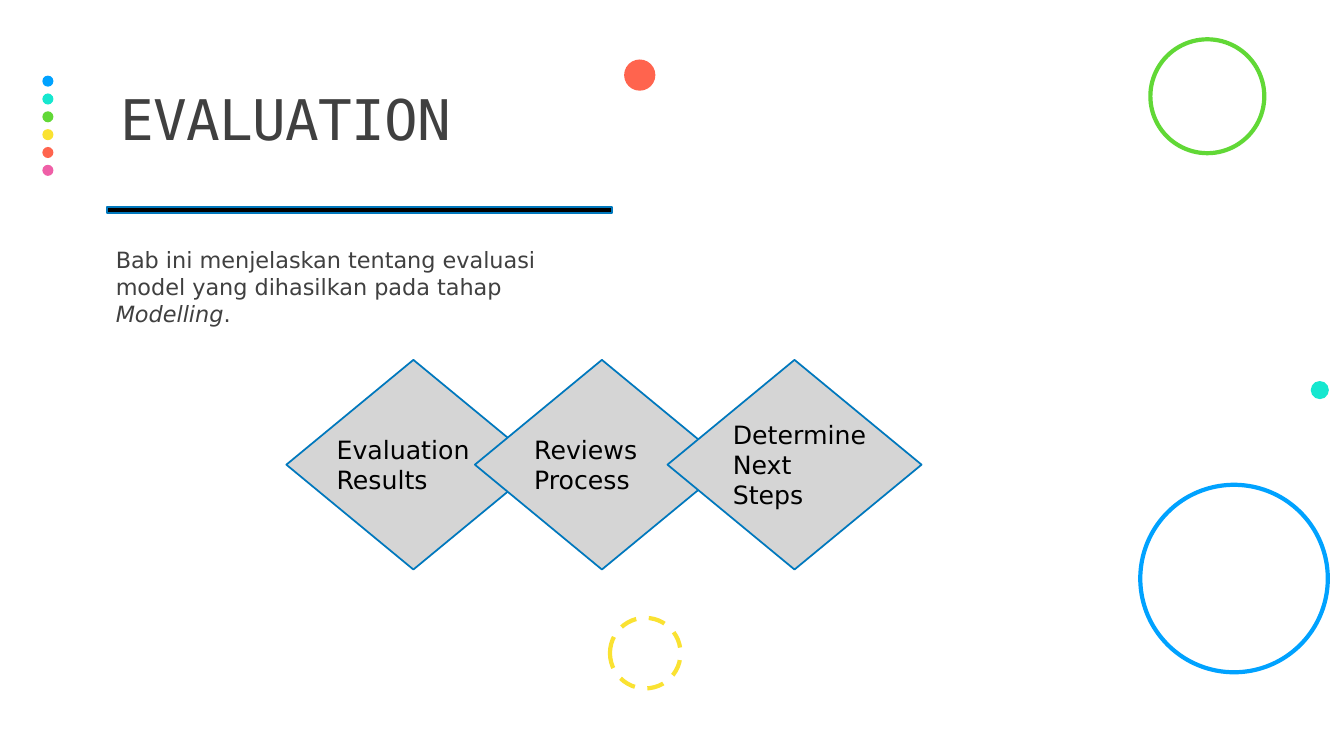
from pptx import Presentation
from pptx.dml.color import RGBColor
from pptx.enum.dml import MSO_LINE_DASH_STYLE as Dash
from pptx.enum.shapes import MSO_SHAPE as Shape
from pptx.enum.text import MSO_ANCHOR as Anchor, MSO_AUTO_SIZE as Fit
from pptx.util import Inches, Pt

SANS, MONO = "DejaVu Sans", "DejaVu Sans Mono"
BLACK, DARK, GRAY, EDGE = "000000", "404040", "D5D5D5", "0078BD"
BLUE, TEAL, GREEN = "00A2FF", "16E7CF", "61D836"
YELLOW, RED, PINK = "FAE232", "FF644E", "EF5FA7"


def color(code):
    return RGBColor.from_string(code)


class Deck:
    def __init__(self):
        self.prs = Presentation()
        self.prs.slide_width = Inches(13.33)
        self.prs.slide_height = Inches(7.5)
        self.slide = self.prs.slides.add_slide(self.prs.slide_layouts[6])

    def shape(self, kind, x, y, w, h, fill=None, line=None, width=1.25):
        item = self.slide.shapes.add_shape(
            kind, Inches(x), Inches(y), Inches(w), Inches(h))
        item.shadow.inherit = False
        if fill:
            item.fill.solid()
            item.fill.fore_color.rgb = color(fill)
        else:
            item.fill.background()
        if line:
            item.line.color.rgb = color(line)
            item.line.width = Pt(width)
        else:
            item.line.fill.background()
        return item

    def dot(self, x, y, size, fill):
        return self.shape(Shape.OVAL, x, y, size, size, fill)

    def ring(self, x, y, size, line):
        return self.shape(Shape.OVAL, x, y, size, size, line=line, width=3)

    def text(self, x, y, w, h, lines, size, tint, font=SANS, wrap=True,
             inset=0.1):
        """Each line is a list of (words, italic) runs."""
        box = self.slide.shapes.add_textbox(
            Inches(x), Inches(y), Inches(w), Inches(h))
        frame = box.text_frame
        frame.word_wrap = wrap
        frame.auto_size = Fit.NONE if wrap else Fit.SHAPE_TO_FIT_TEXT
        frame.margin_left = frame.margin_right = Inches(inset)
        for i, runs in enumerate(lines):
            para = frame.add_paragraph() if i else frame.paragraphs[0]
            for words, italic in runs:
                run = para.add_run()
                run.text = words
                run.font.name = font
                run.font.size = Pt(size)
                run.font.italic = italic
                run.font.color.rgb = color(tint)
        return frame


def main():
    deck = Deck()

    # Rings and loose dots
    deck.ring(11.41, 0.39, 1.13, GREEN)
    deck.ring(11.31, 4.81, 1.86, BLUE)
    deck.ring(6.05, 6.13, 0.7, YELLOW).line.dash_style = Dash.DASH
    deck.dot(6.19, 0.59, 0.31, RED)
    deck.dot(13, 3.78, 0.18, TEAL)

    # Column of dots
    for i, fill in enumerate([BLUE, TEAL, GREEN, YELLOW, RED, PINK]):
        deck.dot(0.42, 0.75 + 0.177 * i, 0.11, fill)

    # Intro
    intro = deck.text(1.05, 2.39, 4.53, 0.92, [[
        ("Bab ini menjelaskan tentang evaluasi model yang dihasilkan "
         "pada tahap ", False),
        ("Modelling", True), (".", False)]], 16, DARK)
    intro.margin_right = 0
    intro.paragraphs[0].space_before = Pt(12)
    intro.paragraphs[0].space_after = Pt(2)

    # Title and rule
    title = deck.text(1.2, 0.46, 4.53, 1.5, [[("EVALUATION", False)]],
                      40, DARK, MONO, inset=0)
    title.vertical_anchor = Anchor.MIDDLE
    head = title.paragraphs[0]
    head.line_spacing = 0.9
    head.runs[0].font._element.set("spc", "-50")
    deck.shape(Shape.MATH_MINUS, 0.16, 1.96, 6.81, 0.25, BLACK, EDGE)

    # Steps: diamonds first, labels on top
    for x in (2.84, 4.71, 6.62):
        deck.shape(Shape.DIAMOND, x, 3.57, 2.52, 2.08, GRAY, EDGE)
    labels = [
        (3.24, 4.26, 1.52, 0.71, ["Evaluation", "Results"]),
        (5.2, 4.26, 1.23, 0.71, ["Reviews", "Process"]),
        (7.17, 4.11, 1.53, 1.01, ["Determine", "Next", "Steps"]),
    ]
    for x, y, w, h, words in labels:
        deck.text(x, y, w, h, [[(word, False)] for word in words],
                  18, BLACK, wrap=False)

    deck.prs.save("out.pptx")


if __name__ == "__main__":
    main()
